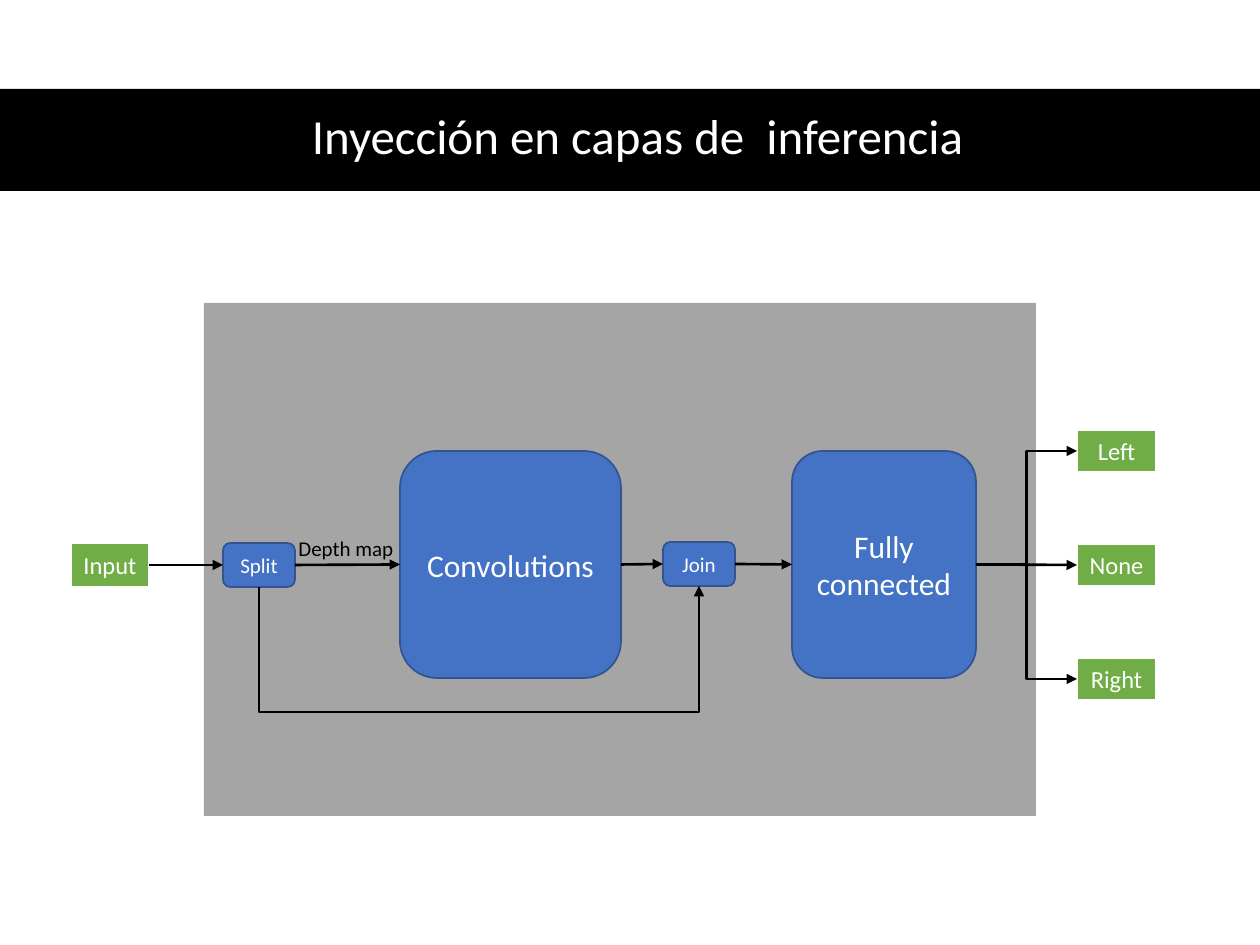
from lxml import etree
from pptx import Presentation
from pptx import util as u
from pptx.dml.color import RGBColor
from pptx.enum import shapes, text
from pptx.oxml import ns

PX_PER_INCH = 126
FONT = "Calibri"
BLACK = RGBColor(0x00, 0x00, 0x00)
WHITE = RGBColor(0xFF, 0xFF, 0xFF)
GRAY = RGBColor(0xA5, 0xA5, 0xA5)
BLUE = RGBColor(0x44, 0x72, 0xC4)
DARK_BLUE = RGBColor(0x32, 0x54, 0x91)
GREEN = RGBColor(0x70, 0xAD, 0x47)

RECT = shapes.MSO_SHAPE.RECTANGLE
ROUNDED = shapes.MSO_SHAPE.ROUNDED_RECTANGLE
STRAIGHT = shapes.MSO_CONNECTOR.STRAIGHT
ELBOW = shapes.MSO_CONNECTOR.ELBOW
LEFT, BOTTOM, RIGHT = 1, 2, 3


def px(length):
    return u.Emu(round(length * 914400 / PX_PER_INCH))


def write(shape, words, size, color=WHITE, align=text.PP_ALIGN.CENTER,
          anchor=text.MSO_ANCHOR.MIDDLE, wrap=True, spacing=None):
    frame = shape.text_frame
    frame.word_wrap = wrap
    frame.vertical_anchor = anchor
    para = frame.paragraphs[0]
    para.alignment = align
    para.line_spacing = spacing
    span = para.add_run()
    span.text = words
    span.font.name = FONT
    span.font.size = u.Pt(size)
    span.font.color.rgb = color


def add_box(page, kind, box, fill, line=None, line_width=1.0):
    shape = page.shapes.add_shape(kind, *map(px, box))
    shape.shadow.inherit = False
    shape.fill.solid()
    shape.fill.fore_color.rgb = fill
    if line is None:
        shape.line.fill.background()
    else:
        shape.line.color.rgb = line
        shape.line.width = u.Pt(line_width)
    return shape


def add_layer(page, box, words, size):
    shape = add_box(page, ROUNDED, box, BLUE, DARK_BLUE)
    write(shape, words, size)
    return shape


def add_terminal(page, box, words):
    """Green box for a value entering or leaving the network."""
    shape = add_box(page, RECT, box, GREEN, WHITE, 1.5)
    write(shape, words, 14, wrap=False)
    return shape


def add_arrow(page, source, target, kind=STRAIGHT, start=RIGHT, end=LEFT):
    arrow = page.shapes.add_connector(kind, 0, 0, 0, 0)
    arrow.begin_connect(source, start)
    arrow.end_connect(target, end)
    arrow.line.color.rgb = BLACK
    arrow.line.width = u.Pt(1.5)
    line = arrow.line._get_or_add_ln()
    etree.SubElement(line, ns.qn("a:tailEnd"), type="triangle")
    etree.SubElement(arrow.element.spPr, ns.qn("a:effectLst"))
    return arrow


def add_bypass(page, source, target, drop):
    """U-shaped arrow between two bottom sides, drop px below the source."""
    arrow = add_arrow(page, source, target, ELBOW, BOTTOM, BOTTOM)
    start_x = source.left + source.width // 2
    end_x = target.left + target.width // 2
    start_y = source.top + source.height
    end_y = target.top + target.height
    # The elbow lies on its side, so its width spans the vertical offset.
    width, height = start_y - end_y, end_x - start_x
    arrow.left = (start_x + end_x - width) // 2
    arrow.top = (start_y + end_y - height) // 2
    arrow.width, arrow.height = width, height
    frame = arrow.element.spPr.find(ns.qn("a:xfrm"))
    for name, value in (("rot", "5400000"), ("flipH", "1"), ("flipV", "1")):
        frame.set(name, value)
    guides = arrow.element.spPr.find(ns.qn("a:prstGeom")).get_or_add_avLst()
    bend = round(-px(drop) / width * 100000)
    etree.SubElement(guides, ns.qn("a:gd"), name="adj1", fmla=f"val {bend}")


def draw_title(page, box):
    left, top, width, height = box
    add_box(page, RECT, box, BLACK)
    title = page.shapes.add_textbox(
        px(left + 58), px(top - 1), px(width - 101), px(height))
    write(title, "Inyección en capas de  inferencia", 28, spacing=0.9)


def draw_network(page, box):
    left, top, width, height = box

    def place(x, y, w, h):
        return left + x, top + y, w, h

    add_box(page, RECT, box, GRAY)
    convolutions = add_layer(page, place(196, 148, 221, 227), "Convolutions", 18)
    split = add_layer(page, place(19, 240, 72, 44), "Split", 12)
    join = add_layer(page, place(459, 239, 72, 44), "Join", 12)
    connected = add_layer(page, place(588, 148, 184, 227), "Fully connected", 18)
    source = add_terminal(page, place(-133, 240, 78, 44), "Input")
    outputs = [
        add_terminal(page, place(873, 127 + 114 * row, 79, 42), words)
        for row, words in enumerate(("Left", "None", "Right"))
    ]

    chain = (source, split, convolutions, join, connected)
    for before, after in zip(chain, chain[1:]):
        add_arrow(page, before, after)
    for output, kind in zip(outputs, (ELBOW, STRAIGHT, ELBOW)):
        add_arrow(page, connected, output, kind)
    add_bypass(page, split, join, 126)

    label = page.shapes.add_textbox(*map(px, place(82, 226, 121, 38)))
    write(label, "Depth map", 12, BLACK, text.PP_ALIGN.LEFT,
          text.MSO_ANCHOR.TOP, wrap=False)


def main():
    deck = Presentation()
    deck.slide_width, deck.slide_height = px(1260), px(945)
    page = deck.slides.add_slide(deck.slide_layouts[6])
    draw_title(page, (0, 89, 1260, 102))
    draw_network(page, (204, 303, 832, 513))
    deck.save("out.pptx")


if __name__ == "__main__":
    main()
